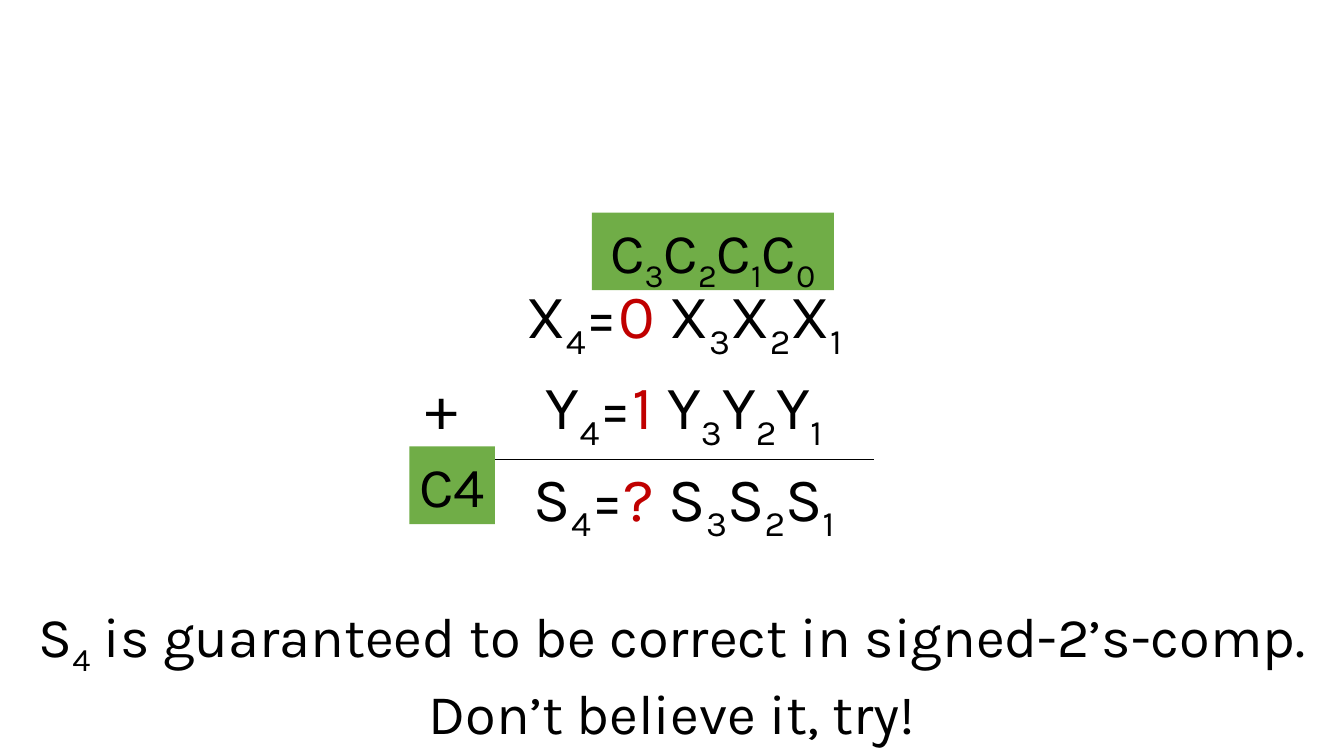
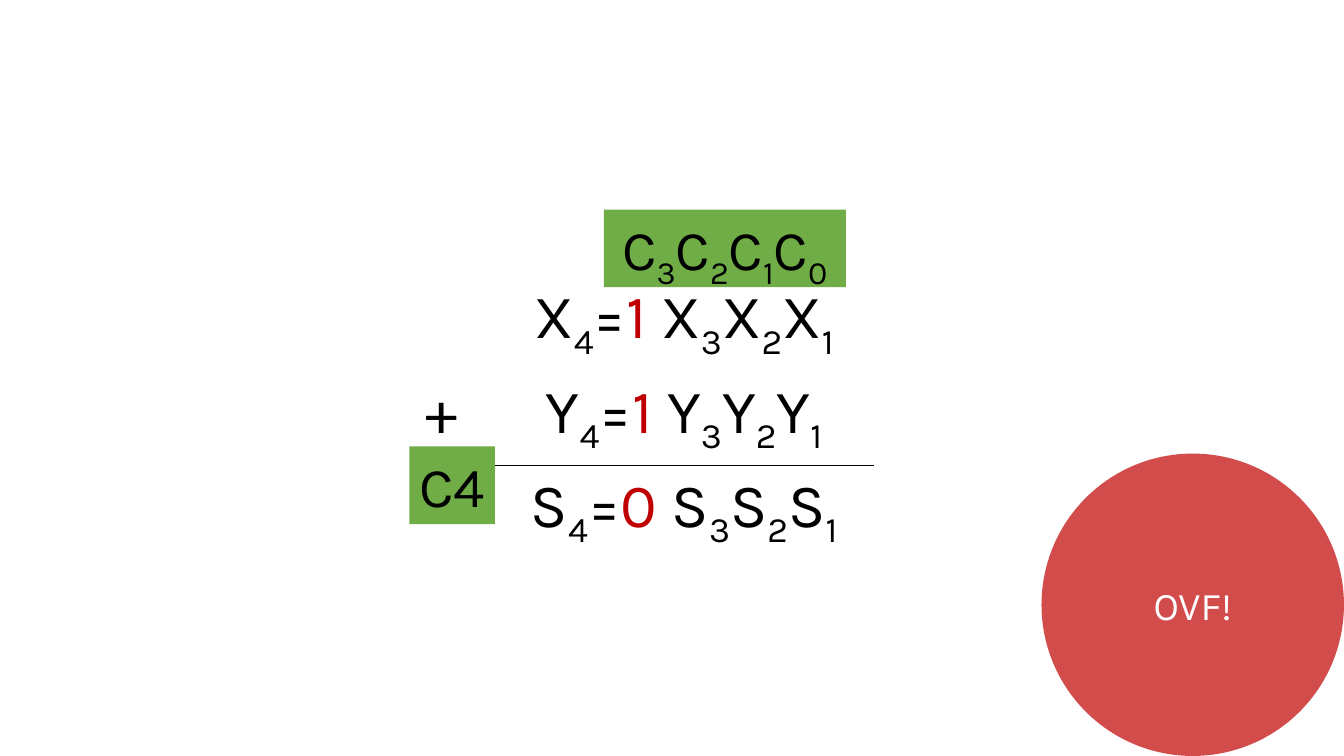
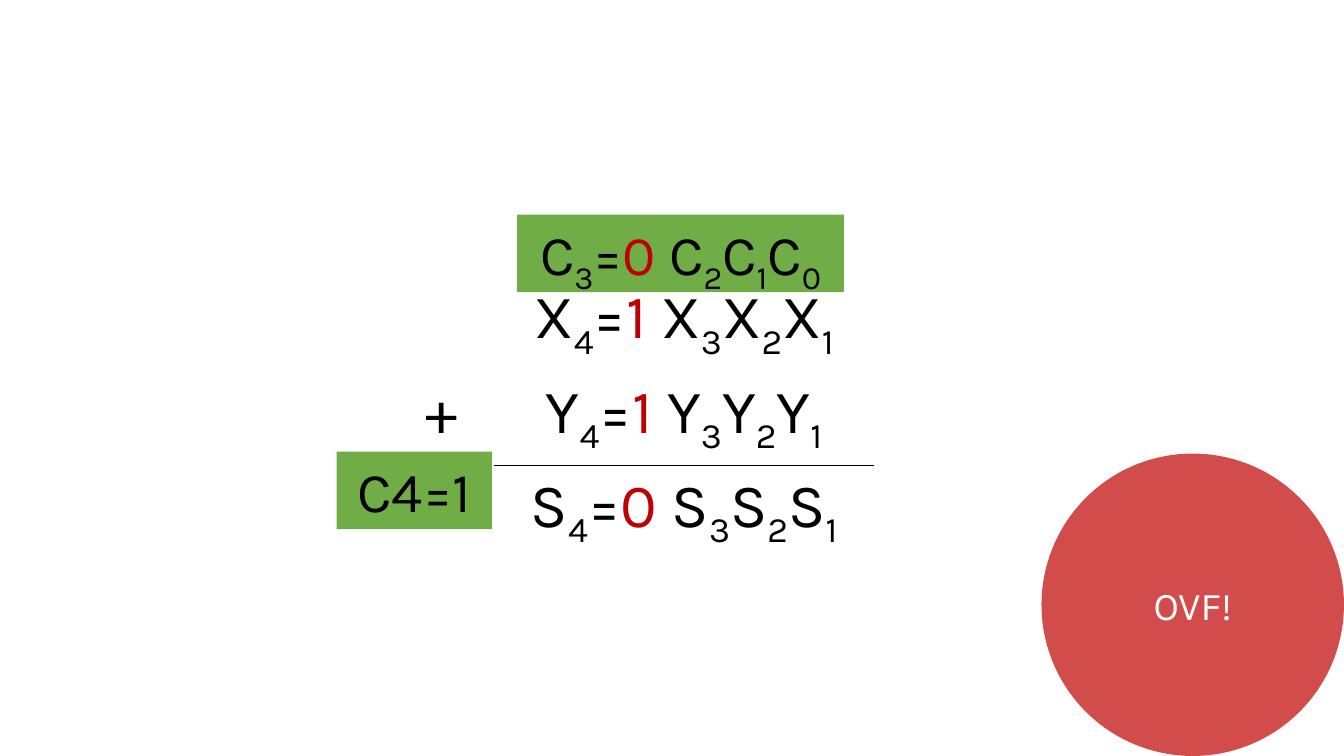
import dataclasses
import itertools
import typing

import pptx
import pptx.dml.color
import pptx.enum.shapes
import pptx.enum.text
import pptx.oxml
import pptx.oxml.ns
import pptx.util
from pptx.util import Inches

FONT = "Karla"
BLACK, WHITE, RED, GREEN = "000000", "FFFFFF", "C00000", "70AD47"
NO_GRID_STYLE = "{2D5ABB26-0587-4C30-8999-92F81FD0307C}"
ADDITION_COLUMNS = (1.03, 3.77, 0.78)
CARRY_HEIGHT = 0.77


@dataclasses.dataclass(frozen=True)
class Carry:
    markup: str
    left: float
    top: float
    width: float


@dataclasses.dataclass(frozen=True)
class Addition:
    """One worked sum: the sign bits of X, Y and S, and its carry boxes."""
    x_sign: str
    y_sign: str
    sum_sign: str
    carries: tuple[Carry, ...]
    row_height: float = 0.9
    carries_behind: bool = False
    overflow: bool = True
    remark: tuple[str, ...] = ()


CARRY_OUT = Carry("C4", 4.06, 4.43, 0.85)
CARRY_ROW = "C_3C_2C_1C_0"

ADDITIONS = (
    Addition("0", "1", "?", (CARRY_OUT, Carry(CARRY_ROW, 5.87, 2.11, 2.4)),
             overflow=False,
             remark=("S_4 is guaranteed to be correct in signed-2’s-comp.",
                     "Don’t believe it, try!")),
    Addition("1", "1", "0", (CARRY_OUT, Carry(CARRY_ROW, 5.99, 2.08, 2.4))),
    Addition("1", "1", "0",
             (Carry("C4=1", 3.34, 4.48, 1.54),
              Carry("C_3=[0] C_2C_1C_0", 5.13, 2.13, 3.24)),
             row_height=0.93, carries_behind=True),
)


def rgb(color: str) -> pptx.dml.color.RGBColor:
    return pptx.dml.color.RGBColor.from_string(color)


def styled_characters(markup: str) -> typing.Iterator[tuple[str, bool, bool]]:
    """Yield (character, subscript, red); _ lowers one character, [] is red."""
    subscript = red = False
    for character in markup:
        if character == "_":
            subscript = True
        elif character in "[]":
            red = character == "["
        else:
            yield character, subscript, red
            subscript = False


def write(paragraph, markup: str, size: int, color: str = BLACK) -> None:
    paragraph.alignment = pptx.enum.text.PP_ALIGN.CENTER
    paragraph.font.name = FONT
    paragraph.font.size = pptx.util.Pt(size)
    paragraph.font.color.rgb = rgb(color)
    pieces = itertools.groupby(styled_characters(markup), key=lambda c: c[1:])
    for (subscript, red), characters in pieces:
        run = paragraph.add_run()
        run.text = "".join(character[0] for character in characters)
        if subscript:
            run.font._element.set("baseline", "-25000")
        if red:
            run.font.color.rgb = rgb(RED)


def add_filled_shape(slide, kind, left: float, top: float, width: float,
                     height: float, color: str):
    shape = slide.shapes.add_shape(kind, Inches(left), Inches(top),
                                   Inches(width), Inches(height))
    shape.shadow.inherit = False
    shape.fill.solid()
    shape.fill.fore_color.rgb = rgb(color)
    shape.line.fill.background()
    return shape


def draw_carry(slide, carry: Carry) -> None:
    box = add_filled_shape(slide, pptx.enum.shapes.MSO_SHAPE.RECTANGLE,
                           carry.left, carry.top, carry.width, CARRY_HEIGHT,
                           GREEN)
    frame = box.text_frame
    frame.word_wrap = False
    frame.auto_size = pptx.enum.text.MSO_AUTO_SIZE.SHAPE_TO_FIT_TEXT
    frame.vertical_anchor = pptx.enum.text.MSO_ANCHOR.TOP
    write(frame.paragraphs[0], carry.markup, 40)


def add_border(cell, side: str) -> None:
    """Rule one side of a cell; side is lnT or lnB."""
    border = pptx.oxml.parse_xml(
        f'<a:{side} {pptx.oxml.ns.nsdecls("a")} w="12700"><a:solidFill>'
        f'<a:srgbClr val="{BLACK}"/></a:solidFill></a:{side}>')
    cell._tc.get_or_add_tcPr().insert(0, border)


def draw_sum(slide, addition: Addition) -> None:
    graphic = slide.shapes.add_table(
        3, len(ADDITION_COLUMNS), Inches(3.87), Inches(2.75),
        Inches(sum(ADDITION_COLUMNS)), Inches(3 * addition.row_height))
    table = graphic.table
    table.first_row = table.horz_banding = False
    table._tbl.tblPr.find(pptx.oxml.ns.qn("a:tableStyleId")).text = NO_GRID_STYLE
    for column, width in zip(table.columns, ADDITION_COLUMNS):
        column.width = Inches(width)
    for cell in table.iter_cells():
        cell.fill.background()

    signs = (addition.x_sign, addition.y_sign, addition.sum_sign)
    for row, (letter, sign) in enumerate(zip("XYS", signs)):
        digits = "".join(f"{letter}_{place}" for place in (3, 2, 1))
        write(table.cell(row, 1).text_frame.paragraphs[0],
              f"{letter}_4=[{sign} ]{digits}", 44)
    write(table.cell(1, 0).text_frame.paragraphs[0], "+", 44)
    add_border(table.cell(1, 1), "lnB")
    add_border(table.cell(2, 1), "lnT")


def draw_overflow(slide) -> None:
    badge = add_filled_shape(slide, pptx.enum.shapes.MSO_SHAPE.OVAL,
                             10.33, 4.5, 3, 3, RED)
    fill_color = badge._element.spPr.find(".//" + pptx.oxml.ns.qn("a:srgbClr"))
    fill_color.append(pptx.oxml.parse_xml(
        f'<a:alpha {pptx.oxml.ns.nsdecls("a")} val="70000"/>'))
    badge.text_frame.vertical_anchor = pptx.enum.text.MSO_ANCHOR.MIDDLE
    write(badge.text_frame.paragraphs[0], "OVF!", 28, WHITE)


def draw_remark(slide, lines: tuple[str, ...]) -> None:
    remark = slide.shapes.add_textbox(0, Inches(5.92), Inches(13.33),
                                      Inches(1.45)).text_frame
    remark.word_wrap = True
    for number, line in enumerate(lines):
        paragraph = remark.add_paragraph() if number else remark.paragraphs[0]
        write(paragraph, line, 40)


def draw_addition(slide, addition: Addition) -> None:
    if not addition.carries_behind:
        draw_sum(slide, addition)
    for carry in addition.carries:
        draw_carry(slide, carry)
    if addition.carries_behind:
        draw_sum(slide, addition)
    if addition.remark:
        draw_remark(slide, addition.remark)
    if addition.overflow:
        draw_overflow(slide)


def main() -> None:
    deck = pptx.Presentation()
    deck.slide_width, deck.slide_height = Inches(13.33), Inches(7.5)
    blank_layout = deck.slide_layouts[6]
    for addition in ADDITIONS:
        draw_addition(deck.slides.add_slide(blank_layout), addition)
    deck.save("out.pptx")


if __name__ == "__main__":
    main()
